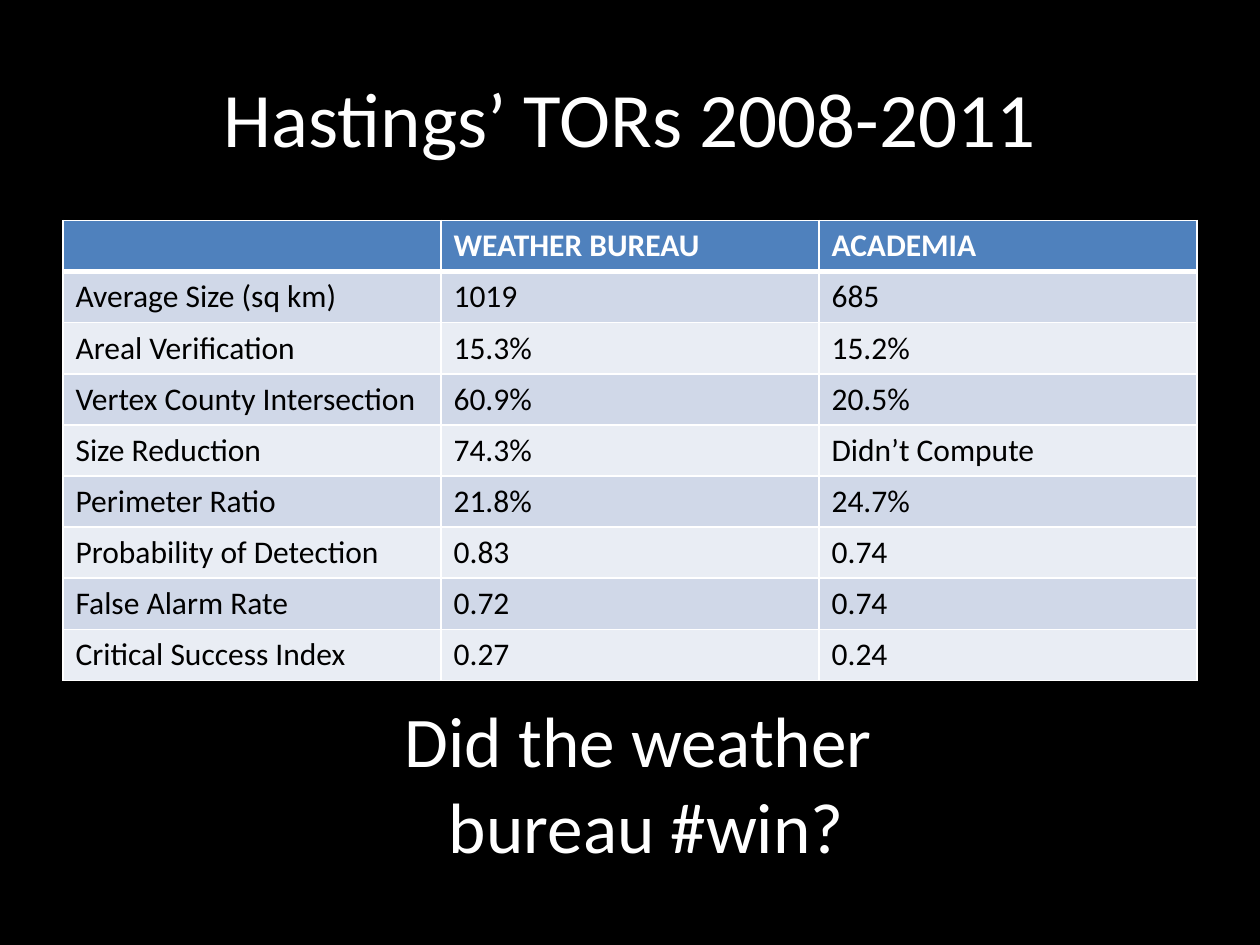
import pptx
import pptx.util
import pptx.dml.color
import pptx.enum.text
import pptx.oxml

Pt = pptx.util.Pt
FONT = "Calibri"
COLORS = {
    "background": "000000",
    "light": "FFFFFF",
    "dark": "000000",
    "header": "4F81BD",
    "odd": "D0D8E8",
    "even": "E9EDF4",
}
ROWS = [
    ("", "WEATHER BUREAU", "ACADEMIA"),
    ("Average Size (sq km)", "1019", "685"),
    ("Areal Verification", "15.3%", "15.2%"),
    ("Vertex County Intersection", "60.9%", "20.5%"),
    ("Size Reduction", "74.3%", "Didn’t Compute"),
    ("Perimeter Ratio", "21.8%", "24.7%"),
    ("Probability of Detection", "0.83", "0.74"),
    ("False Alarm Rate", "0.72", "0.74"),
    ("Critical Success Index", "0.27", "0.24"),
]


def rgb(name):
    return pptx.dml.color.RGBColor.from_string(COLORS[name])


def style_font(font, size, color, bold=False):
    font.name = FONT
    font.size = Pt(size)
    font.bold = bold
    font.color.rgb = rgb(color)


def place_heading(sp, box, lines, size):
    sp.left, sp.top, sp.width, sp.height = (Pt(v) for v in box)
    tf = sp.text_frame
    tf.text = "\n".join(lines)
    tf.word_wrap = True
    tf.auto_size = pptx.enum.text.MSO_AUTO_SIZE.NONE
    tf.vertical_anchor = pptx.enum.text.MSO_ANCHOR.MIDDLE
    for p in tf.paragraphs:
        p.alignment = pptx.enum.text.PP_ALIGN.CENTER
        for r in p.runs:
            style_font(r.font, size, "light")


def border_xml(side, width):
    return pptx.oxml.parse_xml(
        f'<a:{side} xmlns:a="http://schemas.openxmlformats.org/drawingml/2006/main" '
        f'w="{Pt(width)}"><a:solidFill><a:srgbClr val="{COLORS["light"]}"/>'
        f'</a:solidFill></a:{side}>'
    )


def style_cell(cell, text, row):
    header = row == 0
    widths = {
        "lnL": 1,
        "lnR": 1,
        "lnT": 3 if row == 1 else 1,
        "lnB": 3 if header else 1,
    }
    tcPr = cell._tc.get_or_add_tcPr()
    for side, width in widths.items():
        tcPr.append(border_xml(side, width))
    cell.fill.solid()
    cell.fill.fore_color.rgb = rgb("header" if header else "odd" if row % 2 else "even")
    cell.text = text
    p = cell.text_frame.paragraphs[0]
    style_font(p.font, 18, "light" if header else "dark", header)
    for r in p.runs:
        style_font(r.font, 18, "light" if header else "dark", header)


def add_score_table(s, box):
    left, top, width, height = box
    frame = s.shapes.add_table(
        len(ROWS), len(ROWS[0]), Pt(left), Pt(top), Pt(width), Pt(height)
    )
    table = frame.table
    for col in table.columns:
        col.width = Pt(width / len(ROWS[0]))
    for i, values in enumerate(ROWS):
        table.rows[i].height = Pt(height / len(ROWS))
        for j, text in enumerate(values):
            style_cell(table.cell(i, j), text, i)


def build_slide(prs):
    s = prs.slides.add_slide(prs.slide_layouts[5])
    s.background.fill.solid()
    s.background.fill.fore_color.rgb = rgb("background")
    place_heading(s.shapes.title, (36, 21.6, 648, 90), ["Hastings’ TORs 2008-2011"], 44)
    add_score_table(s, (36, 126, 648, 262.8))
    question = s.shapes.add_textbox(0, 0, 0, 0)
    place_heading(
        question, (45.36, 401.76, 648, 90), ["Did the weather ", "bureau #win?"], 40.7
    )


def main():
    prs = pptx.Presentation()
    prs.slide_width, prs.slide_height = Pt(720), Pt(540)
    build_slide(prs)
    prs.save("out.pptx")


if __name__ == "__main__":
    main()
